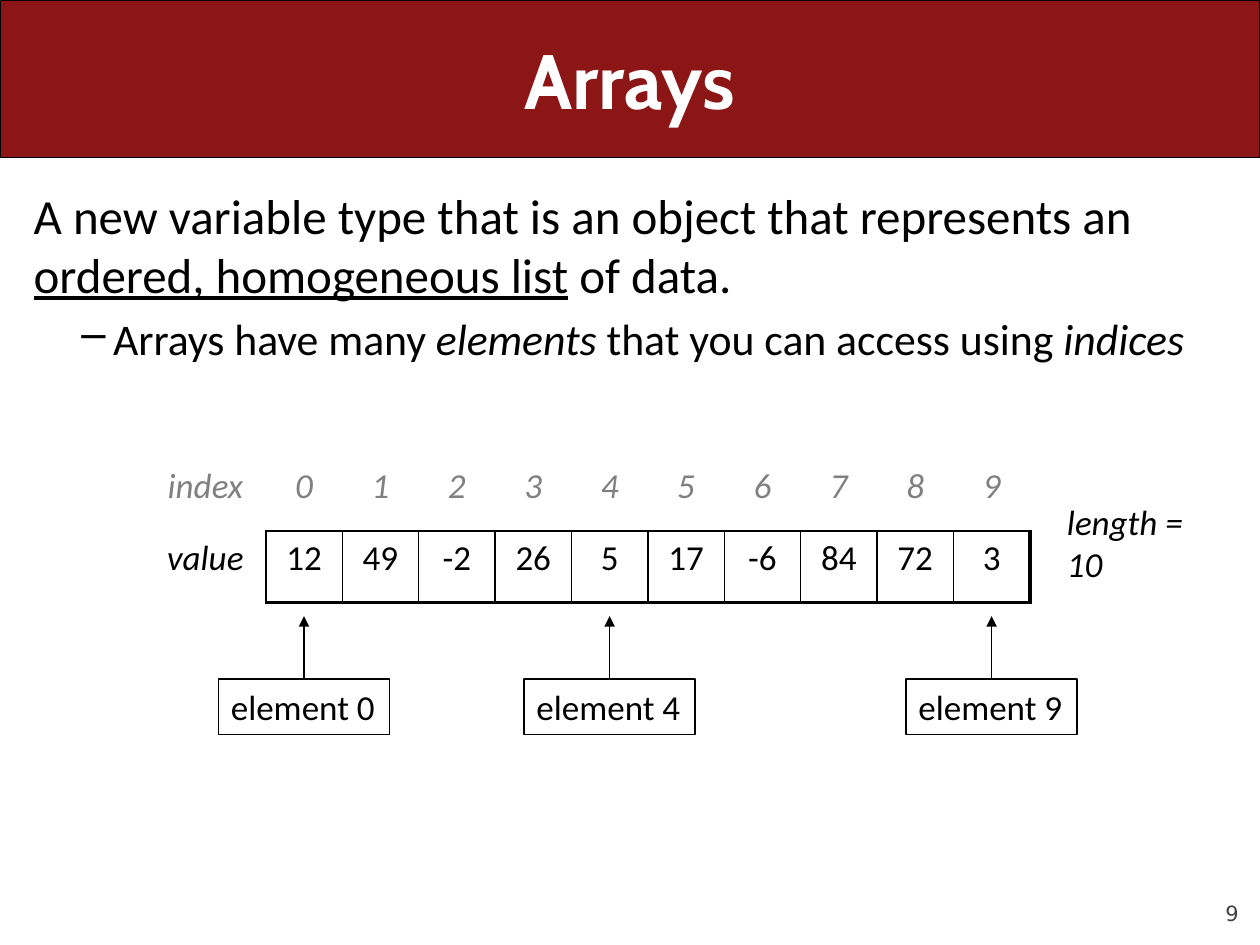
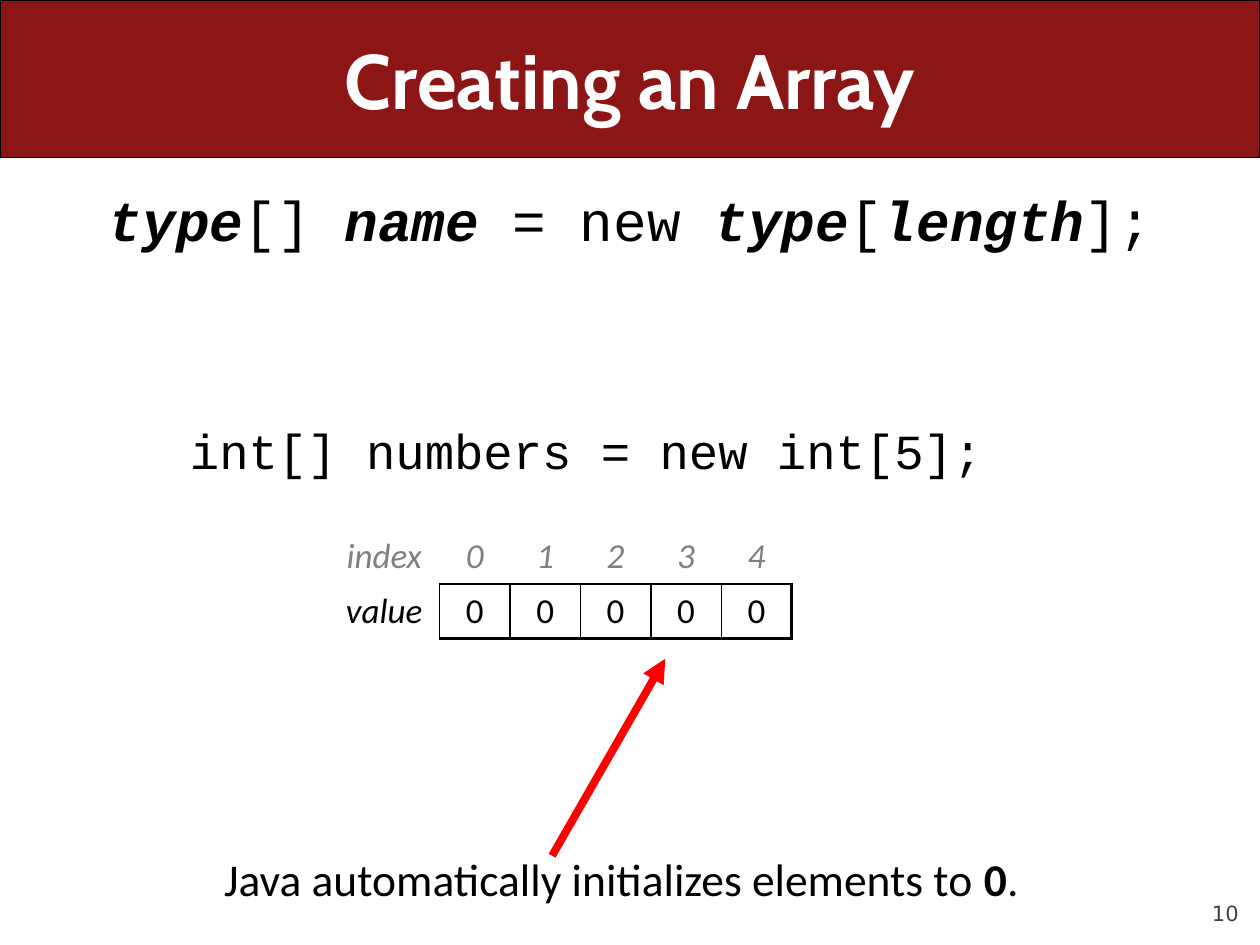
"""Build two lecture slides that introduce arrays."""
import lxml.etree
import pptx
import pptx.dml.color
import pptx.enum.shapes
import pptx.enum.text
import pptx.oxml.ns
import pptx.util

Cm = pptx.util.Cm
Pt = pptx.util.Pt
RGBColor = pptx.dml.color.RGBColor
ALIGN = pptx.enum.text.PP_ALIGN
ANCHOR = pptx.enum.text.MSO_ANCHOR
SHAPE = pptx.enum.shapes.MSO_SHAPE
qn = pptx.oxml.ns.qn

CARDINAL = RGBColor(0x8C, 0x15, 0x15)
BLACK = RGBColor(0, 0, 0)
WHITE = RGBColor(0xFF, 0xFF, 0xFF)
GRAY = RGBColor(0x80, 0x80, 0x80)
DARK_GRAY = RGBColor(0x42, 0x42, 0x42)
RED = RGBColor(0xFF, 0, 0)

BODY_FONT = "Calibri"
CODE_FONT = "Courier New"
TITLE_FONT = "Cabin"
NUMBER_FONT = "DejaVu Sans"

WIDTH, HEIGHT, BAND_HEIGHT = 25.4, 19.05, 3.18
BODY_AREA = (0.43, 3.61, 24.56, 14.4)


class Lecture:
    """Hold the deck's style and its current slide."""

    def __init__(self):
        self.deck = pptx.Presentation()
        self.deck.slide_width = Cm(WIDTH)
        self.deck.slide_height = Cm(HEIGHT)
        self.slide = None

    def start_slide(self, title, number):
        self.slide = self.deck.slides.add_slide(self.deck.slide_layouts[6])
        page = self.text_box(22.86, 17.65, 2.11, 1.02, ANCHOR.BOTTOM)
        page.margin_left = page.margin_right = page.margin_top = page.margin_bottom = 0
        self.add_pieces(page.paragraphs[0], [(number, "")], 12, NUMBER_FONT, DARK_GRAY,
                        ALIGN.RIGHT)
        band = self.shape(SHAPE.ROUNDED_RECTANGLE, 0, 0, WIDTH, BAND_HEIGHT)
        band.adjustments[0] = 0
        band.fill.solid()
        band.fill.fore_color.rgb = CARDINAL
        heading = self.text_box(1.27, 0, 22.86, BAND_HEIGHT, ANCHOR.MIDDLE)
        self.add_pieces(heading.paragraphs[0], [(title, "b")], 44, TITLE_FONT, WHITE,
                        ALIGN.CENTER)

    def text_box(self, left, top, width, height, anchor=ANCHOR.TOP, wrap=True):
        box = self.slide.shapes.add_textbox(Cm(left), Cm(top), Cm(width), Cm(height))
        frame = box.text_frame
        frame.word_wrap = wrap
        frame.vertical_anchor = anchor
        return frame

    def shape(self, kind, left, top, width, height):
        shape = self.slide.shapes.add_shape(kind, Cm(left), Cm(top), Cm(width), Cm(height))
        shape.shadow.inherit = False
        shape.fill.background()
        shape.line.color.rgb = BLACK
        shape.line.width = Pt(0.75)
        return shape

    def add_pieces(self, paragraph, pieces, size, font=BODY_FONT, color=BLACK,
                   align=ALIGN.LEFT, before=0):
        """Add (text, marks) pieces; marks are any of b, i and u."""
        paragraph.alignment = align
        paragraph.space_before = Pt(before)
        for text, marks in pieces:
            run = paragraph.add_run()
            run.text = text
            run.font.size = Pt(size)
            run.font.name = font
            run.font.color.rgb = color
            run.font.bold = "b" in marks
            run.font.italic = "i" in marks
            run.font.underline = "u" in marks

    def indent(self, paragraph, margin, hanging=0, bullet=None):
        properties = paragraph._p.get_or_add_pPr()
        properties.set("marL", str(Cm(margin)))
        properties.set("indent", str(-Cm(hanging)))
        if bullet:
            lxml.etree.SubElement(properties, qn("a:buChar"), char=bullet)

    def label_box(self, text, center, top, width, height):
        box = self.shape(SHAPE.RECTANGLE, center - width / 2, top, width, height)
        box.text_frame.word_wrap = False
        self.add_pieces(box.text_frame.paragraphs[0], [(text, "")], 20)
        return box

    def arrow(self, start, end, color, weight, source=None):
        ends = [Cm(value) for value in (*start, *end)]
        arrow = self.slide.shapes.add_connector(pptx.enum.shapes.MSO_CONNECTOR.STRAIGHT, *ends)
        if source is not None:
            arrow.begin_connect(source, 0)
        arrow.line.color.rgb = color
        arrow.line.width = Pt(weight)
        lxml.etree.SubElement(arrow.line._get_or_add_ln(), qn("a:tailEnd"), type="triangle")
        lxml.etree.SubElement(arrow._element.spPr, qn("a:effectLst"))

    def cell_borders(self, cell, weights):
        properties = cell._tc.get_or_add_tcPr()
        for position, side in enumerate("LRTB"):
            weight = weights.get(side, 0)
            line = lxml.etree.Element(qn("a:ln" + side), w=str(Pt(weight)))
            if weight:
                fill = lxml.etree.SubElement(line, qn("a:solidFill"))
                lxml.etree.SubElement(fill, qn("a:srgbClr"), val=str(BLACK))
            else:
                lxml.etree.SubElement(line, qn("a:noFill"))
            properties.insert(position, line)

    def array_table(self, values, left, top, label_width, cell_width, row_height):
        count = len(values)
        rows = [["index", *range(count)], ["value", *values]]
        frame = self.slide.shapes.add_table(
            2, count + 1, Cm(left), Cm(top),
            Cm(label_width + count * cell_width), Cm(2 * row_height))
        table = frame.table
        table.first_row = table.horz_banding = False
        for column_number, column in enumerate(table.columns):
            column.width = Cm(cell_width if column_number else label_width)
        for row_number, row in enumerate(rows):
            table.rows[row_number].height = Cm(row_height)
            for column_number, entry in enumerate(row):
                cell = table.cell(row_number, column_number)
                cell.fill.background()
                is_value = row_number == 1 and column_number > 0
                self.add_pieces(cell.text_frame.paragraphs[0],
                                [(str(entry), "" if is_value else "i")], 20,
                                color=BLACK if row_number else GRAY, align=ALIGN.CENTER)
                if is_value:
                    right = 2.25 if column_number == count else 1
                    borders = {"L": 1, "T": 1, "R": right, "B": 2.25}
                elif column_number:
                    borders = {"B": 1}
                else:
                    borders = {"R": 1} if row_number else {}
                self.cell_borders(cell, borders)


def arrays_slide(lecture):
    lecture.start_slide("Arrays", "9")
    body = lecture.text_box(*BODY_AREA)
    lecture.add_pieces(body.paragraphs[0], [
        ("A new variable type that is an object that represents an ", ""),
        ("ordered, homogeneous list", "u"), (" of data.", "")], 28, before=5.6)
    access = body.add_paragraph()
    lecture.add_pieces(access, [
        ("Arrays have many ", ""), ("elements", "i"),
        (" that you can access using ", ""), ("indices", "i")], 25, before=5)
    lecture.indent(access, 1.6, 0.64, "–")

    left, label_width, cell_width = 2.92, 2.44, 1.54
    lecture.array_table([12, 49, -2, 26, 5, 17, -6, 84, 72, 3],
                        left, 9.25, label_width, cell_width, 1.45)
    for index in (0, 4, 9):
        center = left + label_width + (index + 0.5) * cell_width
        element = lecture.label_box(f"element {index}", center, 13.69, 3.45, 1.12)
        lecture.arrow((center, 13.69), (center, 12.42), BLACK, 0.75, element)
    length = lecture.text_box(21.26, 9.96, 3.71, 1.09, wrap=False)
    lecture.add_pieces(length.paragraphs[0], [("length = 10", "i")], 20)


def creating_slide(lecture):
    lecture.start_slide("Creating an Array", "10")
    code = lecture.text_box(*BODY_AREA)
    lecture.add_pieces(code.paragraphs[0], [
        ("type", "bi"), ("[] ", ""), ("name", "bi"), (" = new ", ""),
        ("type", "bi"), ("[", ""), ("length", "bi"), ("];", "")],
        32, CODE_FONT, align=ALIGN.CENTER, before=6.4)
    example = code.add_paragraph()
    lecture.add_pieces(example, [("int[] numbers = new int[5];", "")], 28, CODE_FONT, before=96)
    lecture.indent(example, 3.15)

    lecture.array_table([0] * 5, 6.63, 10.67, 2.23, 1.42, 1.1)
    remark = lecture.text_box(4.27, 17.25, 16.76, 1.14).paragraphs[0]
    lecture.add_pieces(remark, [
        ("Java automatically initializes elements to ", ""), ("0", "b"), (".", "")], 26)
    remark.line_spacing = 0.8
    lecture.arrow((11.13, 17.25), (13.41, 13.28), RED, 4.5)


def main():
    lecture = Lecture()
    arrays_slide(lecture)
    creating_slide(lecture)
    lecture.deck.save("out.pptx")


if __name__ == "__main__":
    main()
